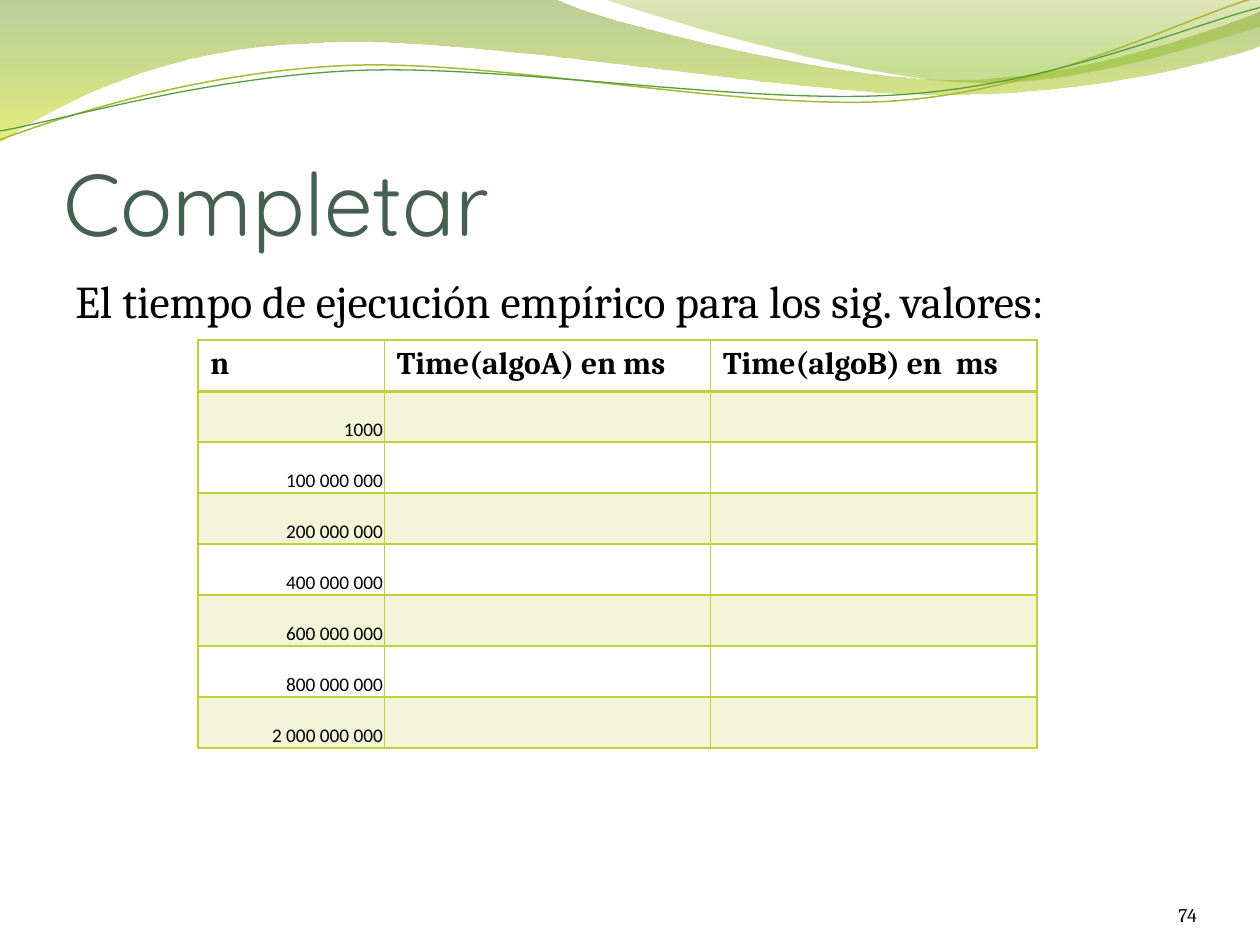
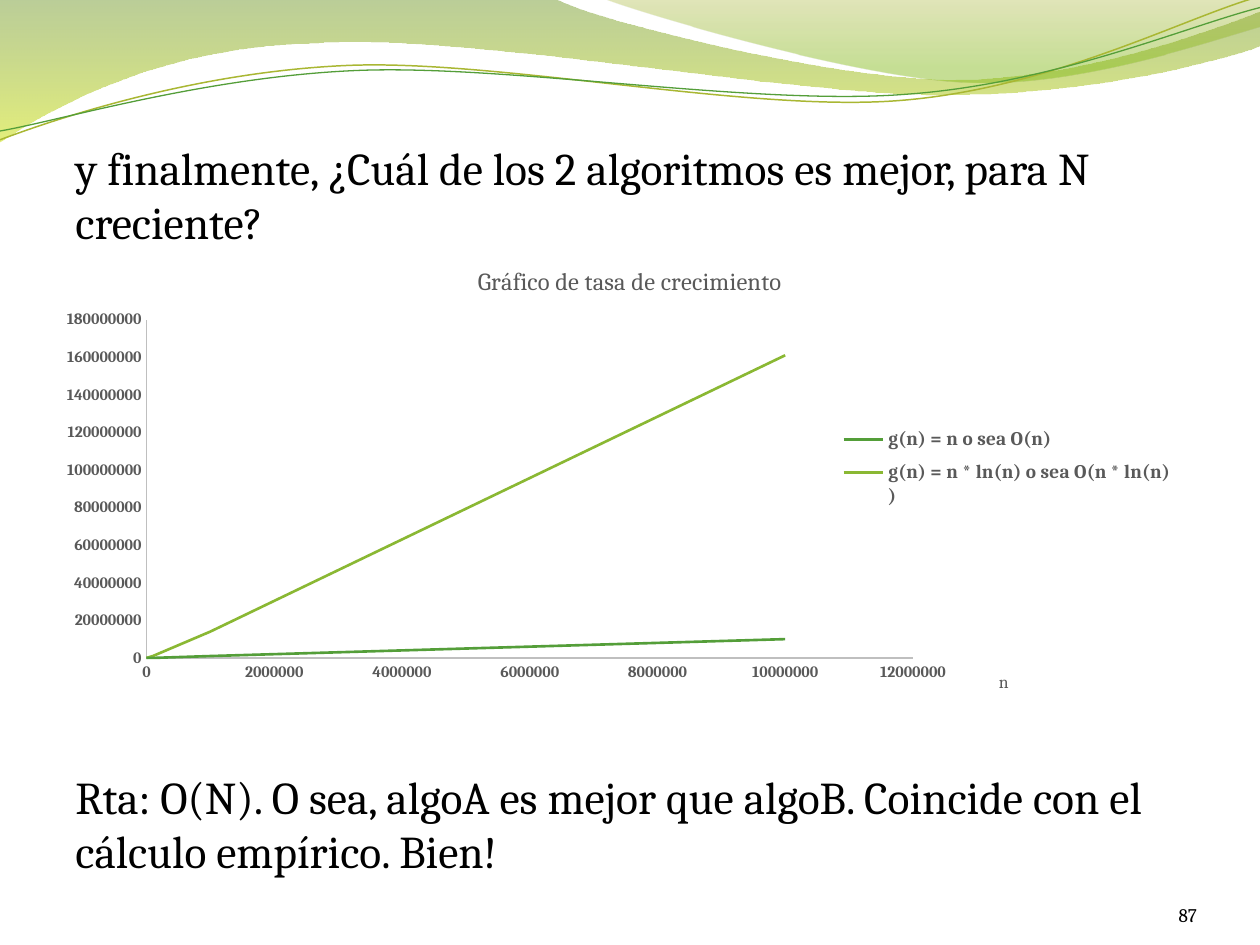
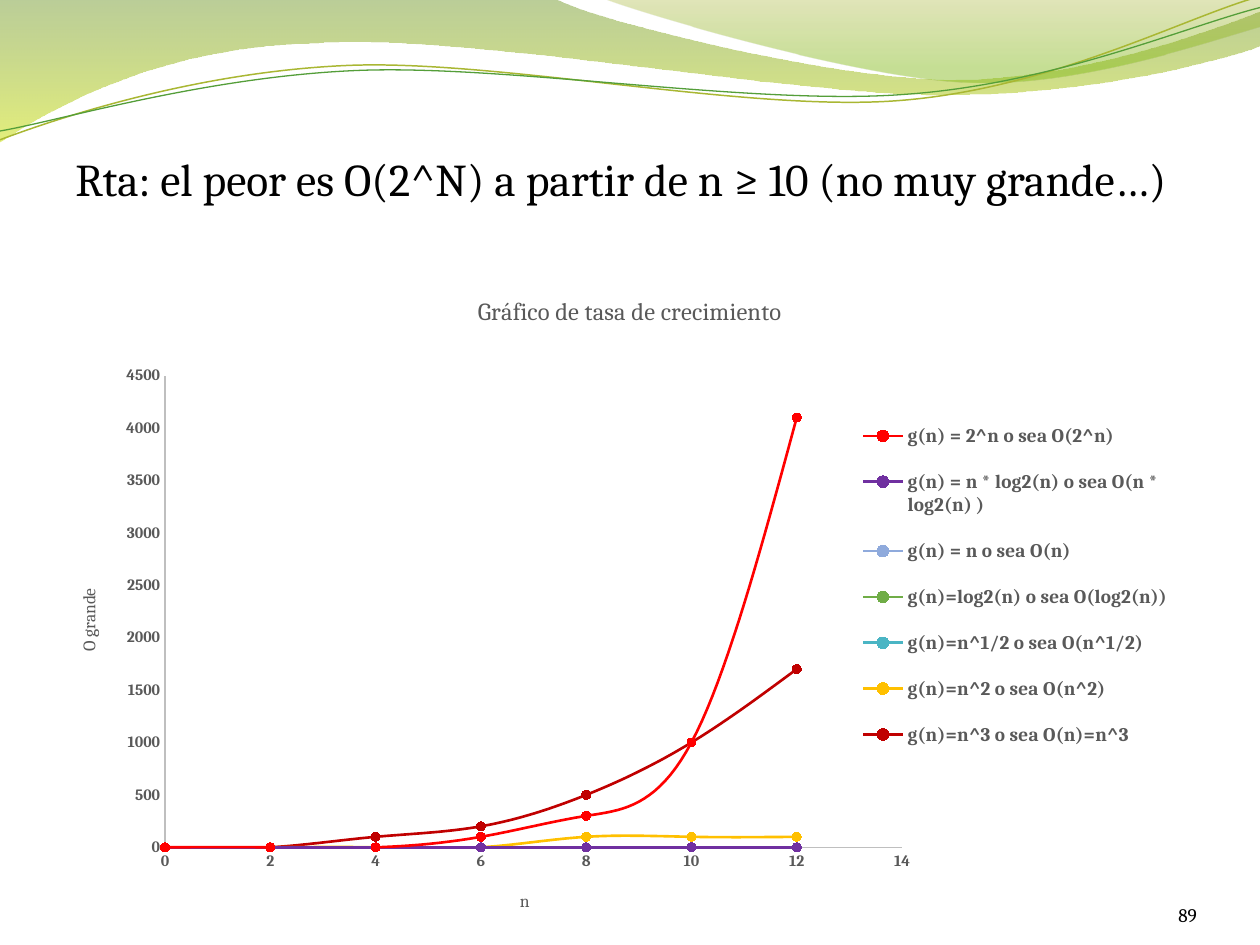
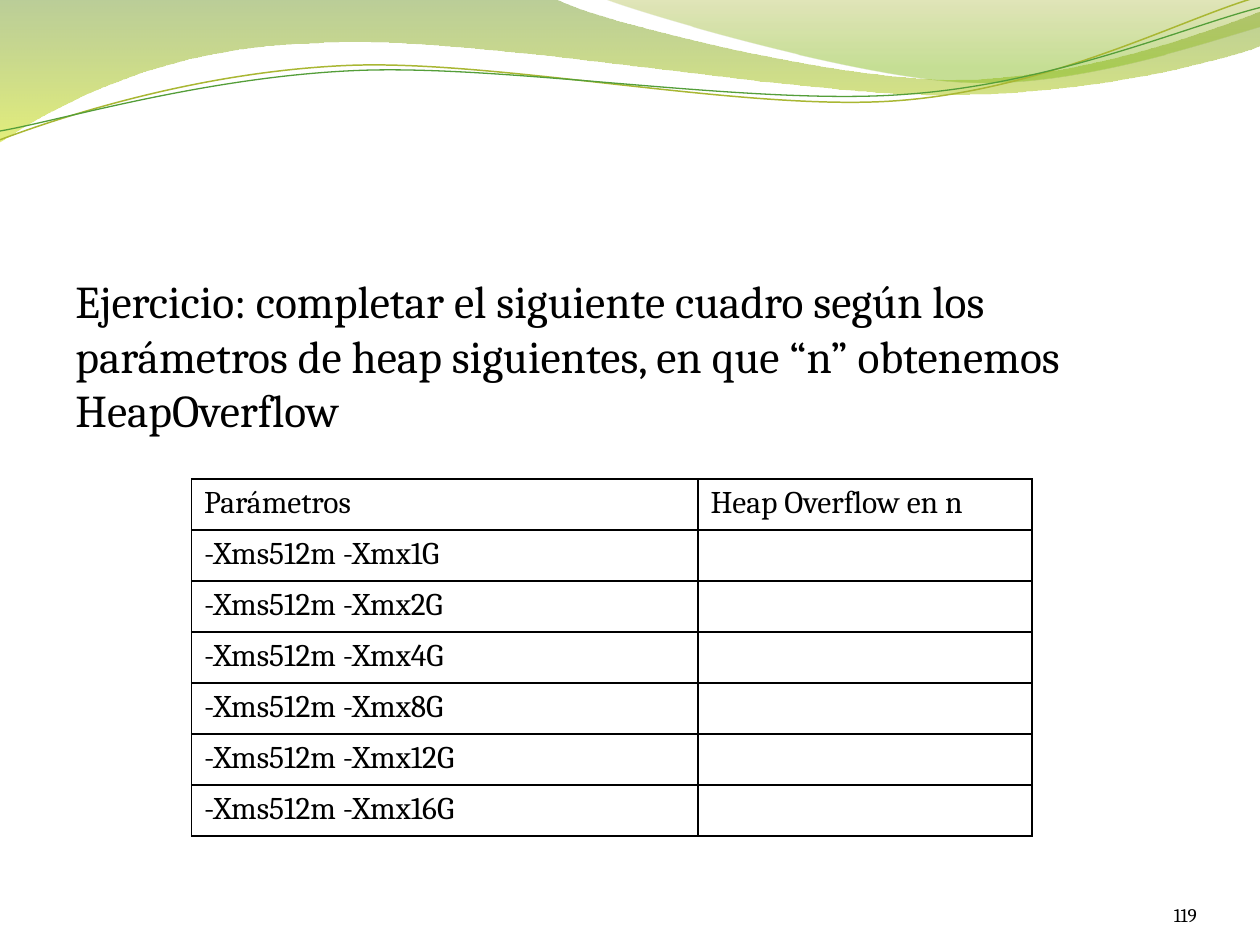
"""Build four slides on algorithm complexity with a shared green wave header."""
from dataclasses import dataclass
from typing import Optional

from lxml import etree
from pptx import Presentation
from pptx import util as u
from pptx.chart import data as chart_data
from pptx.dml.color import RGBColor
from pptx.enum import chart as chart_enum
from pptx.enum import text
from pptx.oxml.ns import qn

COLORS = {
    "black": "000000", "title": "455F51", "gray": "595959", "axis": "BFBFBF",
    "lime": "C0CF3A", "olive": "69921C", "yellow_green": "CCE10F",
    "moss": "9BAA1A", "grass": "81BA16", "pale_line": "A9B733",
    "green": "549E39", "light_green": "8AB833", "red": "FF0000",
    "purple": "7030A0", "blue": "8FAADC", "leaf": "70AD47",
    "teal": "4AB5C4", "gold": "FFC000", "dark_red": "C00000",
}
BODY_FONT = "Cambria"
ROW_HEIGHT = 3.24 / 8
PLOT_BOX = (0.09, 0.16, 0.65, 0.72)


@dataclass(frozen=True)
class Box:
    """Position and size in inches."""
    left: float
    top: float
    width: float
    height: float

    def lengths(self) -> tuple:
        """Return the four lengths for python-pptx."""
        return tuple(u.Inches(value) for value in
                     (self.left, self.top, self.width, self.height))


@dataclass(frozen=True)
class TextStyle:
    """Font settings of a run."""
    size: float
    color: str = "black"
    font: str = BODY_FONT
    bold: bool = False


@dataclass(frozen=True)
class Stop:
    """Gradient stop with its opacity in percent."""
    position: float
    color: str
    opacity: int


@dataclass(frozen=True)
class Wave:
    """Header wave: pairs are lines to a point, sextets are cubic curves."""
    start: tuple
    segments: tuple
    stops: tuple = ()
    line: Optional[str] = None
    line_width: float = 0


@dataclass(frozen=True)
class Series:
    """Named chart series."""
    name: str
    color: str
    values: tuple


@dataclass(frozen=True)
class GrowthChart:
    """Scatter chart of growth rates."""
    box: Box
    x_values: tuple
    series: tuple
    smooth: bool
    legend_box: tuple
    x_title_at: tuple
    y_title: str = ""
    y_title_at: tuple = ()


@dataclass(frozen=True)
class Grid:
    """Table with equal row heights and one border colour."""
    left: float
    top: float
    columns: tuple
    rows: tuple
    border: str
    bold_header: bool = False
    header_line: float = 1
    banded: bool = False
    numeric: bool = False


BODY = TextStyle(26)
TITLE = TextStyle(50, "title", "Quicksand")
PAGE_NUMBER = TextStyle(11)
CHART_TITLE = TextStyle(14, "gray")
AXIS_TITLE = TextStyle(10, "gray")
AXIS_LABEL = TextStyle(9, "gray", bold=True)
LEGEND = TextStyle(11, "gray", bold=True)
CELL = TextStyle(18)
CELL_HEADER = TextStyle(18, bold=True)
CELL_NUMBER = TextStyle(11, font="Calibri")

WAVES = (
    Wave((0, 0), (
        (4.4, -0.01), (4.75, 0.17, 6.63, 0.63, 7.58, 0.63),
        (8.53, 0.63, 9.58, 0.26, 10, 0.09), (10.01, 0.36),
        (9.83, 0.44, 8.69, 0.76, 7.46, 0.75),
        (6.22, 0.75, 3.81, 0.28, 2.57, 0.34),
        (1.29, 0.36, 0.46, 0.83, -0.01, 1.13), (0, 0),
    ), stops=(Stop(0, "olive", 45), Stop(1, "yellow_green", 55))),
    Wave((4.79, -0.01), (
        (5.09, 0.11, 6.82, 0.62, 7.68, 0.65),
        (8.55, 0.69, 9.61, 0.32, 10, 0.21), (10, 0), (4.79, -0.01),
    ), stops=(Stop(0, "moss", 30), Stop(0.8, "grass", 45))),
    Wave((0, 1.11), (
        (0.48, 0.93, 1.57, 0.57, 2.76, 0.52),
        (3.95, 0.47, 5.92, 0.89, 7.12, 0.8),
        (8.33, 0.71, 9.38, 0.15, 9.97, -0.02),
    ), line="pale_line", line_width=0.85),
    Wave((0, 1.04), (
        (0.47, 0.96, 1.63, 0.61, 2.83, 0.56),
        (4.02, 0.51, 5.97, 0.84, 7.17, 0.75),
        (8.36, 0.67, 9.41, 0.21, 10, 0.06),
    ), line="green", line_width=0.75),
)

TIMES = Grid(
    1.57, 2.7, (1.48, 2.59, 2.59),
    (("n", "Time(algoA) en ms", "Time(algoB) en  ms"),)
    + tuple((count, "", "") for count in (
        "1000", "100 000 000", "200 000 000", "400 000 000",
        "600 000 000", "800 000 000", "2 000 000 000")),
    "lime", bold_header=True, header_line=2, banded=True, numeric=True)

HEAP = Grid(
    1.52, 3.8, (4.02, 2.65),
    (("Parámetros", "Heap Overflow en n"),)
    + tuple((f"-Xms512m -Xmx{size}G", "") for size in (1, 2, 4, 8, 12, 16)),
    "black")

TWO_RATES = GrowthChart(
    Box(0.32, 1.94, 9.36, 3.73),
    (0, 0, 0, 0, 100000, 1000000, 10000000),
    (Series("g(n) = n o sea O(n)", "green",
            (0, 0, 0, 0, 0, 1000000, 10000000)),
     Series("g(n) = n * ln(n) o sea O(n * ln(n) )", "light_green",
            (0, 0, 0, 0, 1000000, 14000000, 161000000))),
    smooth=False, legend_box=(0.68, 0.37, 0.28, 0.21), x_title_at=(0.81, 0.9))

SEVEN_RATES = GrowthChart(
    Box(0.5, 2.15, 9, 5.2),
    tuple(range(0, 14, 2)),
    (Series("g(n) = 2^n o sea O(2^n)", "red", (0, 0, 0, 100, 300, 1000, 4100)),
     Series("g(n) = n * log2(n) o sea O(n * log2(n) )", "purple", (0,) * 7),
     Series("g(n) = n o sea O(n)", "blue", (0,) * 7),
     Series("g(n)=log2(n) o sea O(log2(n))", "leaf", (0,) * 7),
     Series("g(n)=n^1/2 o sea O(n^1/2)", "teal", (0,) * 7),
     Series("g(n)=n^2 o sea O(n^2)", "gold", (0, 0, 0, 0, 100, 100, 100)),
     Series("g(n)=n^3 o sea O(n)=n^3", "dark_red",
            (0, 0, 100, 200, 500, 1000, 1700))),
    smooth=True, legend_box=(0.7, 0.2, 0.28, 0.56), x_title_at=(0.4, 0.94),
    y_title="O grande", y_title_at=(0.01, 0.48))


def rgb(name: str) -> RGBColor:
    """Return a palette colour."""
    return RGBColor.from_string(COLORS[name])


def style_font(font, style: TextStyle) -> None:
    """Apply a text style to a font."""
    font.name, font.size, font.bold = style.font, u.Pt(style.size), style.bold
    font.color.rgb = rgb(style.color)


def add_run(paragraph, words: str, style: TextStyle) -> None:
    """Add a styled run."""
    run = paragraph.add_run()
    run.text = words
    style_font(run.font, style)


def set_opacity(color_element, percent: int) -> None:
    """Make a colour partly transparent."""
    etree.SubElement(color_element, qn("a:alpha"), val=str(percent * 1000))


def bend(shape, segments: tuple) -> None:
    """Turn straight outline segments into cubic curves where required."""
    for line, segment in zip(list(shape.element.iter(qn("a:lnTo"))), segments):
        if len(segment) == 2:
            continue
        curve = etree.Element(qn("a:cubicBezTo"))
        for x, y in zip(segment[::2], segment[1::2]):
            etree.SubElement(curve, qn("a:pt"), x=str(u.Inches(x) - shape.left),
                             y=str(u.Inches(y) - shape.top))
        line.getparent().replace(line, curve)


def draw_wave(slide, wave: Wave):
    """Draw one header wave and return its shape."""
    builder = slide.shapes.build_freeform(*map(u.Inches, wave.start))
    builder.add_line_segments(
        [tuple(map(u.Inches, segment[-2:])) for segment in wave.segments],
        close=bool(wave.stops))
    shape = builder.convert_to_shape()
    bend(shape, wave.segments)
    shape.shadow.inherit = False
    if wave.stops:
        shape.line.fill.background()
        shape.fill.gradient()
        shape.fill.gradient_angle = 270
        for gradient_stop, stop in zip(shape.fill.gradient_stops, wave.stops):
            gradient_stop.position = stop.position
            gradient_stop.color.rgb = rgb(stop.color)
        for color, stop in zip(shape.element.iter(qn("a:srgbClr")), wave.stops):
            set_opacity(color, stop.opacity)
    else:
        shape.fill.background()
        shape.line.color.rgb = rgb(wave.line)
        shape.line.width = u.Pt(wave.line_width)
    return shape


def add_header(slide, master) -> None:
    """Draw the waves once and move them to the master, behind everything."""
    for index, wave in enumerate(WAVES):
        element = draw_wave(slide, wave).element
        element.nvSpPr.cNvPr.set("id", str(101 + index))
        master.shapes.element.insert(2 + index, element)


def add_body(slide, words: str, top: float, height: float):
    """Add body text across the slide and return its frame."""
    frame = slide.shapes.add_textbox(*Box(0.5, top, 9, height).lengths()).text_frame
    frame.word_wrap = True
    add_run(frame.paragraphs[0], words, BODY)
    return frame


def add_page_number(slide, number: int) -> None:
    """Add the page number at the bottom right."""
    frame = slide.shapes.add_textbox(*Box(8.67, 6.95, 0.83, 0.4).lengths()).text_frame
    frame.word_wrap = True
    frame.vertical_anchor = text.MSO_ANCHOR.BOTTOM
    frame.margin_left = frame.margin_right = frame.margin_top = frame.margin_bottom = 0
    frame.paragraphs[0].alignment = text.PP_ALIGN.RIGHT
    add_run(frame.paragraphs[0], str(number), PAGE_NUMBER)


def set_title(slide, words: str) -> None:
    """Place and fill the title placeholder."""
    title = slide.shapes.title
    title.left, title.top, title.width, title.height = Box(0.5, 0.77, 9, 1.25).lengths()
    frame = title.text_frame
    frame.auto_size = text.MSO_AUTO_SIZE.NONE
    frame.vertical_anchor = text.MSO_ANCHOR.BOTTOM
    frame.margin_left = frame.margin_right = frame.margin_bottom = 0
    frame.paragraphs[0].alignment = text.PP_ALIGN.LEFT
    add_run(frame.paragraphs[0], words, TITLE)


def set_borders(cell, color: str, top: float, bottom: float) -> None:
    """Draw the four borders of a cell."""
    properties = cell._tc.get_or_add_tcPr()
    for side, width in (("L", 1), ("R", 1), ("T", top), ("B", bottom)):
        line = etree.SubElement(properties, qn(f"a:ln{side}"), w=str(u.Pt(width)))
        fill = etree.SubElement(line, qn("a:solidFill"))
        etree.SubElement(fill, qn("a:srgbClr"), val=COLORS[color])


def fill_cell(cell, grid: Grid, row: int, column: int) -> None:
    """Format one table cell and write its text."""
    set_borders(cell, grid.border, grid.header_line if row == 1 else 1,
                grid.header_line if row == 0 else 1)
    if grid.banded and row % 2:
        cell.fill.solid()
        cell.fill.fore_color.rgb = rgb(grid.border)
        set_opacity(cell._tc.tcPr.find(qn("a:solidFill"))[0], 20)
    else:
        cell.fill.background()
    words = grid.rows[row][column]
    if not words:
        return
    style = CELL_HEADER if grid.bold_header and row == 0 else CELL
    paragraph = cell.text_frame.paragraphs[0]
    if grid.numeric and row:
        style = CELL_NUMBER
        cell.vertical_anchor = text.MSO_ANCHOR.BOTTOM
        cell.margin_left = cell.margin_right = cell.margin_top = u.Inches(0.01)
        cell.margin_bottom = 0
        paragraph.alignment = text.PP_ALIGN.RIGHT
    add_run(paragraph, words, style)


def add_grid(slide, grid: Grid) -> None:
    """Add a table."""
    box = Box(grid.left, grid.top, sum(grid.columns), ROW_HEIGHT * len(grid.rows))
    table = slide.shapes.add_table(len(grid.rows), len(grid.columns),
                                   *box.lengths()).table
    table.first_row = table.horz_banding = False
    for column, width in zip(table.columns, grid.columns):
        column.width = u.Inches(width)
    for row_index, row in enumerate(table.rows):
        row.height = u.Inches(ROW_HEIGHT)
        for column_index, cell in enumerate(row.cells):
            fill_cell(cell, grid, row_index, column_index)


def place(element, index: int, fractions: tuple, inner: bool = False) -> None:
    """Give a chart part a manual layout in fractions of the chart."""
    for old in element.findall(qn("c:layout")):
        element.remove(old)
    layout = etree.Element(qn("c:layout"))
    manual = etree.SubElement(layout, qn("c:manualLayout"))
    settings = [("layoutTarget", "inner")] if inner else []
    settings += [("xMode", "edge"), ("yMode", "edge")]
    settings += list(zip("xywh", fractions))
    for tag, value in settings:
        etree.SubElement(manual, qn(f"c:{tag}"), val=str(value))
    element.insert(index, layout)


def style_axis(axis) -> None:
    """Give an axis its line and labels, without grid or ticks."""
    axis.has_major_gridlines = axis.has_minor_gridlines = False
    axis.major_tick_mark = axis.minor_tick_mark = chart_enum.XL_TICK_MARK.NONE
    axis.format.line.color.rgb = rgb("axis")
    axis.format.line.width = u.Pt(0.75)
    style_font(axis.tick_labels.font, AXIS_LABEL)


def set_axis_title(axis, words: str, position: tuple, rotation: int) -> None:
    """Write and place an axis title."""
    title = axis.axis_title
    add_run(title.text_frame.paragraphs[0], words, AXIS_TITLE)
    for body in title.element.iter(qn("a:bodyPr")):
        body.set("rot", str(rotation))
    place(title.element, 1, position)


def add_growth_chart(slide, growth: GrowthChart) -> None:
    """Add a scatter chart of growth rates."""
    data = chart_data.XyChartData()
    for item in growth.series:
        series = data.add_series(item.name)
        for x, y in zip(growth.x_values, item.values):
            series.add_data_point(x, y)
    kinds = chart_enum.XL_CHART_TYPE
    kind = kinds.XY_SCATTER_SMOOTH if growth.smooth else kinds.XY_SCATTER_LINES_NO_MARKERS
    chart = slide.shapes.add_chart(kind, *growth.box.lengths(), data).chart
    style_font(chart.font, TextStyle(10))
    chart.has_title = True
    add_run(chart.chart_title.text_frame.paragraphs[0],
            "Gráfico de tasa de crecimiento", CHART_TITLE)
    chart.has_legend = True
    chart.legend.position = chart_enum.XL_LEGEND_POSITION.RIGHT
    chart.legend.include_in_layout = False
    style_font(chart.legend.font, LEGEND)
    style_axis(chart.category_axis)
    style_axis(chart.value_axis)
    set_axis_title(chart.category_axis, "n", growth.x_title_at, 0)
    if growth.y_title:
        set_axis_title(chart.value_axis, growth.y_title, growth.y_title_at, -5400000)
    else:
        chart.value_axis.has_title = False
    plot = chart.plots[0]
    plot.vary_by_categories = False
    for series, item in zip(plot.series, growth.series):
        series.format.line.color.rgb = rgb(item.color)
        series.format.line.width = u.Pt(1.5)
        if growth.smooth:
            series.marker.style = chart_enum.XL_MARKER_STYLE.CIRCLE
            series.marker.size = 5
            series.marker.format.fill.solid()
            series.marker.format.fill.fore_color.rgb = rgb(item.color)
            series.marker.format.line.color.rgb = rgb(item.color)
    for smooth in chart.element.iter(qn("c:smooth")):
        smooth.set("val", str(int(growth.smooth)))
    place(next(chart.element.iter(qn("c:plotArea"))), 0, PLOT_BOX, inner=True)
    place(next(chart.element.iter(qn("c:legend"))), 1, growth.legend_box)


def main() -> None:
    """Build and save the presentation."""
    presentation = Presentation()
    presentation.slide_width, presentation.slide_height = u.Inches(10), u.Inches(7.5)
    title_only = presentation.slide_layouts.get_by_name("Title Only")
    blank = presentation.slide_layouts.get_by_name("Blank")

    times = presentation.slides.add_slide(title_only)
    add_header(times, presentation.slide_master)
    set_title(times, "Completar")
    add_body(times, "El tiempo de ejecución empírico para los sig. valores:", 2.12, 4.8)
    add_page_number(times, 74)
    add_grid(times, TIMES)

    comparison = presentation.slides.add_slide(blank)
    frame = add_body(comparison, "y finalmente, ¿Cuál de los 2 algoritmos es mejor, "
                     "para N creciente?", 1.06, 5.85)
    answer = frame.add_paragraph()
    answer.space_before = u.Pt(297)
    add_run(answer, "Rta: O(N). O sea, algoA es mejor que algoB. "
            "Coincide con el cálculo empírico. Bien!", BODY)
    add_page_number(comparison, 87)
    add_growth_chart(comparison, TWO_RATES)

    worst = presentation.slides.add_slide(blank)
    add_body(worst, "Rta: el peor es O(2^N) a partir de n ≥ 10 (no muy grande…)",
             1.15, 5.76)
    add_page_number(worst, 89)
    add_growth_chart(worst, SEVEN_RATES)

    heap = presentation.slides.add_slide(blank)
    add_body(heap, "Ejercicio: completar el siguiente cuadro según los parámetros "
             "de heap siguientes, en que “n” obtenemos HeapOverflow", 2.12, 4.8)
    add_page_number(heap, 119)
    add_grid(heap, HEAP)

    presentation.save("out.pptx")


if __name__ == "__main__":
    main()
